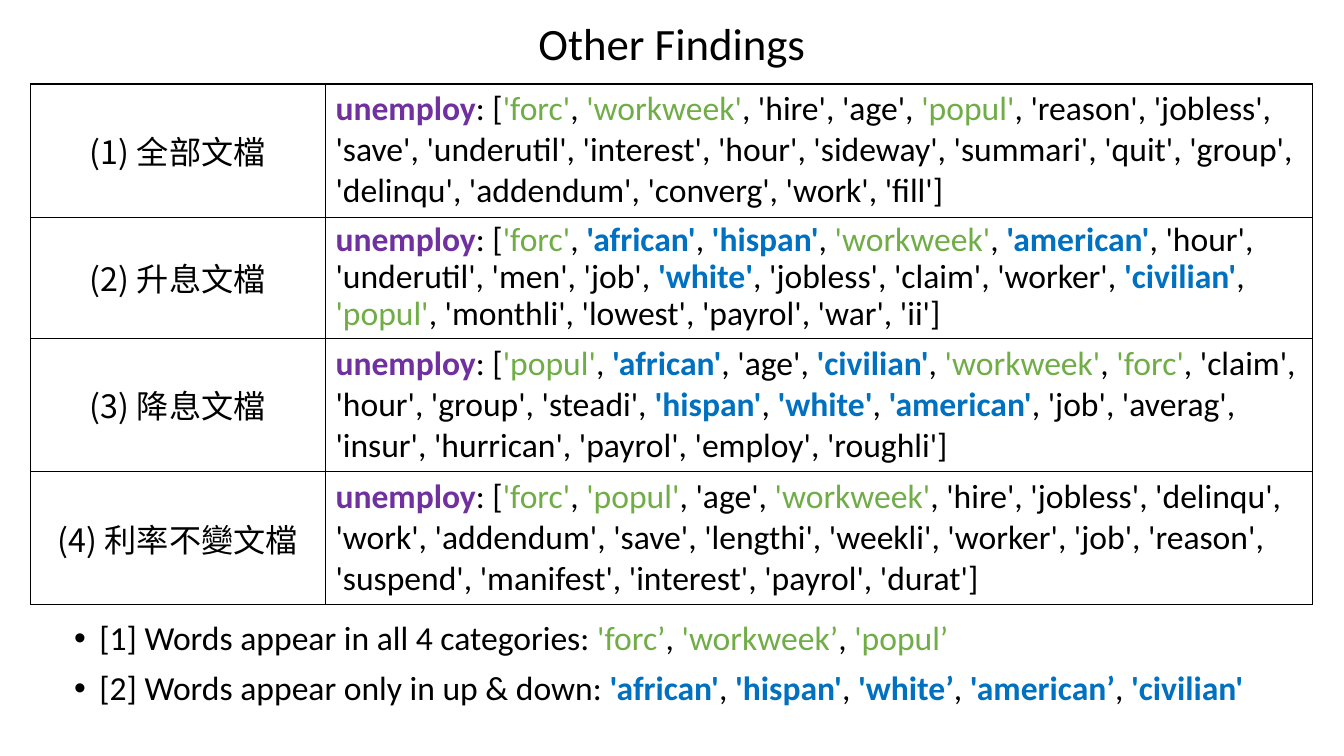
from dataclasses import dataclass
from itertools import groupby

from lxml import etree
from pptx import Presentation
from pptx import util as u
from pptx.dml import color
from pptx.enum import text
from pptx.oxml import ns

PX = 9525  # EMU in one px
BLACK, GREEN, BLUE, PURPLE = "000000", "70AD47", "0070C0", "7030A0"
LATIN, HAN = "Calibri", "Noto Sans CJK SC"

# Words that stand out: colour and bold
MARKS = {
    "unemploy": (PURPLE, True),
    **dict.fromkeys(("forc", "workweek", "popul"), (GREEN, False)),
    **dict.fromkeys(("african", "hispan", "white", "american", "civilian"), (BLUE, True)),
}


@dataclass
class Row:
    name: str
    words: str
    high: int
    line: float | None = None
    gap: int | None = None


ROWS = [
    Row("(1) 全部文檔",
        "unemploy: ['forc', 'workweek', 'hire', 'age', 'popul', 'reason', 'jobless', "
        "'save', 'underutil', 'interest', 'hour', 'sideway', 'summari', 'quit', 'group', "
        "'delinqu', 'addendum', 'converg', 'work', 'fill']", 127),
    Row("(2) 升息文檔",
        "unemploy: ['forc', 'african', 'hispan', 'workweek', 'american', 'hour', "
        "'underutil', 'men', 'job', 'white', 'jobless', 'claim', 'worker', 'civilian', "
        "'popul', 'monthli', 'lowest', 'payrol', 'war', 'ii']", 115, 0.9, 10),
    Row("(3) 降息文檔",
        "unemploy: ['popul', 'african', 'age', 'civilian', 'workweek', 'forc', 'claim', "
        "'hour', 'group', 'steadi', 'hispan', 'white', 'american', 'job', 'averag', "
        "'insur', 'hurrican', 'payrol', 'employ', 'roughli']", 127),
    Row("(4) 利率不變文檔",
        "unemploy: ['forc', 'popul', 'age', 'workweek', 'hire', 'jobless', 'delinqu', "
        "'work', 'addendum', 'save', 'lengthi', 'weekli', 'worker', 'job', 'reason', "
        "'suspend', 'manifest', 'interest', 'payrol', 'durat']", 127),
]
NOTES = [
    "[1] Words appear in all 4 categories: 'forc’, 'workweek’, 'popul’",
    "[2] Words appear only in up & down: 'african', 'hispan', 'white’, 'american’, 'civilian'",
]


def px(n: int) -> int:
    return u.Emu(n * PX)


def rgb(code: str) -> color.RGBColor:
    return color.RGBColor.from_string(code)


def split(line: str) -> list:
    """Cut a line into (text, (colour, bold)) pieces."""
    plain = (BLACK, False)
    bits = []
    for i, word in enumerate(line.split(" ")):
        core = word.strip("[],:")
        head, core, tail = word.partition(core)
        bits += [((" " if i else "") + head, plain),
                 (core, MARKS.get(core.strip("'’"), plain)), (tail, plain)]
    bits = [b for b in bits if b[0]]
    return [("".join(t for t, _ in group), look)
            for look, group in groupby(bits, key=lambda b: b[1])]


def write(para, line: str, *, size: int = 24, font: str = LATIN, align=None,
          space: float | None = None, before: int | None = None) -> None:
    para.alignment = align
    if space is not None:
        para.line_spacing = space
    if before is not None:
        para.space_before = u.Pt(before)
    for words, (tint, bold) in split(line):
        run = para.add_run()
        run.text = words
        run.font.size, run.font.name, run.font.bold = u.Pt(size), font, bold
        run.font.color.rgb = rgb(tint)
        if font == HAN:
            etree.SubElement(run.font._element, ns.qn("a:ea"), typeface=font)


def place(shape, x: int, y: int, w: int, h: int) -> None:
    shape.left, shape.top, shape.width, shape.height = map(px, (x, y, w, h))


def edge(cell) -> None:
    """Black 1 pt border on all sides, no fill."""
    prop = cell._tc.get_or_add_tcPr()
    for side in ("lnL", "lnR", "lnT", "lnB"):
        line = etree.SubElement(prop, ns.qn(f"a:{side}"), w=str(u.Pt(1)))
        fill = etree.SubElement(line, ns.qn("a:solidFill"))
        etree.SubElement(fill, ns.qn("a:srgbClr"), val=BLACK)
    cell.fill.background()


def bullet(para) -> None:
    prop = para._p.get_or_add_pPr()
    prop.set("marL", str(px(24)))
    prop.set("indent", str(-px(24)))
    etree.SubElement(prop, ns.qn("a:buFont"), typeface="Arial")
    etree.SubElement(prop, ns.qn("a:buChar"), char="•")


def main() -> None:
    deck = Presentation()
    deck.slide_width, deck.slide_height = px(1280), px(720)
    slide = deck.slides.add_slide(deck.slide_layouts[1])
    mid = text.PP_ALIGN.CENTER

    # Title
    title = slide.shapes.title
    place(title, 88, 8, 1104, 72)
    title.text_frame.vertical_anchor = text.MSO_ANCHOR.MIDDLE
    write(title.text_frame.paragraphs[0], "Other Findings", size=32, align=mid, space=0.9)

    # Table of word lists
    frame = slide.shapes.add_table(len(ROWS), 2, px(29), px(80), px(1221),
                                   px(sum(r.high for r in ROWS)))
    grid = frame.table
    grid.first_row = grid.horz_banding = False
    for col, wide in zip(grid.columns, (281, 940)):
        col.width = px(wide)
    for i, row in enumerate(ROWS):
        grid.rows[i].height = px(row.high)
        name, words = grid.cell(i, 0), grid.cell(i, 1)
        name.vertical_anchor = text.MSO_ANCHOR.MIDDLE
        write(name.text_frame.paragraphs[0], row.name, size=23, font=HAN, align=mid)
        write(words.text_frame.paragraphs[0], row.words, space=row.line, before=row.gap)
        edge(name)
        edge(words)

    # Notes below the table
    body = slide.placeholders[1]
    place(body, 61, 587, 1189, 107)
    for i, note in enumerate(NOTES):
        para = body.text_frame.paragraphs[0] if i == 0 else body.text_frame.add_paragraph()
        write(para, note, space=0.9, before=10)
        bullet(para)

    deck.save("out.pptx")


if __name__ == "__main__":
    main()
